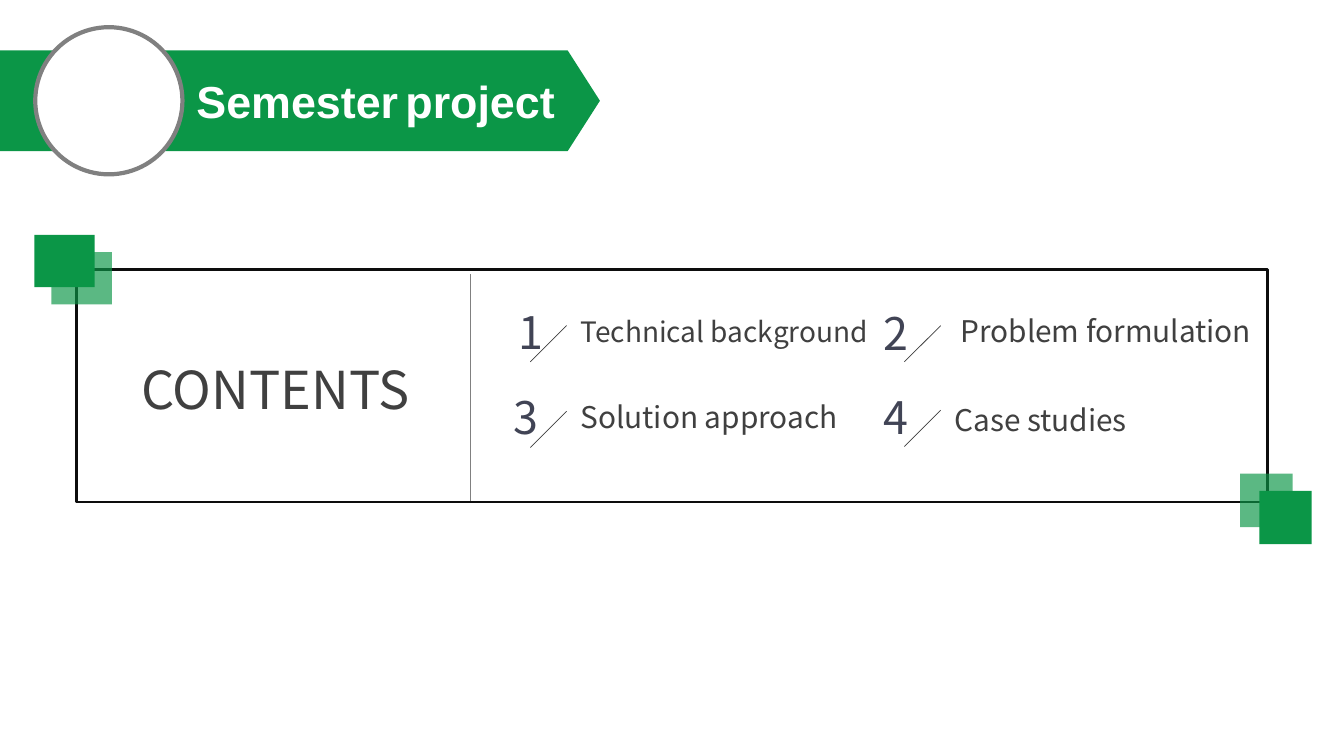
from lxml.etree import SubElement
from pptx import Presentation
from pptx.dml.color import RGBColor
from pptx.enum.shapes import MSO_CONNECTOR, MSO_SHAPE
from pptx.enum.text import MSO_AUTO_SIZE, PP_ALIGN
from pptx.oxml.ns import qn
from pptx.util import Inches, Pt

COLORS = {
    "green": "0B9647",
    "white": "FFFFFF",
    "gray": "808080",
    "text": "404040",
    "number": "414455",
    "frame": "0D0D0D",
}


class SlideBuilder:
    """Draws styled elements on the current slide."""

    def __init__(self, slide, font="Noto Sans CJK SC"):
        self.slide = slide
        self.font = font

    def color(self, name):
        return RGBColor.from_string(COLORS[name])

    def style(self, shape, fill=None, line=None, width=1, alpha=None):
        shape.shadow.inherit = False
        if fill:
            shape.fill.solid()
            shape.fill.fore_color.rgb = self.color(fill)
        else:
            shape.fill.background()
        if alpha:
            color_element = shape.fill._xPr.find(qn("a:solidFill"))[0]
            SubElement(color_element, qn("a:alpha"), val=str(alpha * 1000))
        if line:
            shape.line.color.rgb = self.color(line)
            shape.line.width = Pt(width)
        else:
            shape.line.fill.background()

    def shape(self, kind, box, **style):
        shape = self.slide.shapes.add_shape(kind, *map(Inches, box))
        self.style(shape, **style)

    def polygon(self, points, **style):
        corners = [(Inches(x), Inches(y)) for x, y in points]
        builder = self.slide.shapes.build_freeform(*corners[0])
        builder.add_line_segments(corners[1:], close=True)
        self.style(builder.convert_to_shape(), **style)

    def line(self, start, end, color):
        connector = self.slide.shapes.add_connector(
            MSO_CONNECTOR.STRAIGHT, *map(Inches, start + end))
        connector.line.color.rgb = self.color(color)
        connector.line.width = Pt(0.5)
        SubElement(connector._element.spPr, qn("a:effectLst"))

    def text(self, box, runs, color="text", align=PP_ALIGN.LEFT,
             wrap=True, font=None, bold=False):
        text_frame = self.slide.shapes.add_textbox(*map(Inches, box)).text_frame
        text_frame.word_wrap = wrap
        text_frame.auto_size = MSO_AUTO_SIZE.SHAPE_TO_FIT_TEXT
        paragraph = text_frame.paragraphs[0]
        paragraph.alignment = align
        for content, size in runs:
            run = paragraph.add_run()
            run.text = content
            run.font.size = Pt(size)
            run.font.name = font or self.font
            run.font.bold = bold
            run.font.color.rgb = self.color(color)

    def entry(self, number, number_box, title, title_box, size, slash):
        x, y = slash
        self.text(title_box, [(title, size)])
        self.text(number_box, [(number, 32)], "number", PP_ALIGN.CENTER, wrap=False)
        self.line((x + 0.36, y), (x, y + 0.36), "text")

    def corner(self, solid, offset, size):
        x, y = solid
        shift_x, shift_y = offset
        self.shape(MSO_SHAPE.RECTANGLE, (x, y) + size, fill="green")
        self.shape(MSO_SHAPE.RECTANGLE, (x + shift_x, y + shift_y) + size,
                   fill="green", alpha=67)


def main():
    presentation = Presentation()
    presentation.slide_width = Inches(13.33)
    presentation.slide_height = Inches(7.5)
    builder = SlideBuilder(presentation.slides.add_slide(presentation.slide_layouts[6]))

    builder.text((-0.46, 3.5, 4.62, 0.73), [("CONTENTS", 37.3)], align=PP_ALIGN.RIGHT)
    entries = [
        ("1", (5.04, 2.97, 0.38, 0.64),
         "Technical background", (5.66, 3.07, 3.66, 0.44), 20, (5.26, 3.23)),
        ("2", (8.66, 2.98, 0.46, 0.64),
         "Problem formulation", (9.43, 3.05, 3.16, 0.46), 21.3, (8.97, 3.23)),
        ("3", (4.99, 3.82, 0.46, 0.64),
         "Solution approach", (5.66, 3.91, 2.81, 0.46), 21.3, (5.26, 4.08)),
        ("4", (8.66, 3.82, 0.46, 0.64),
         "Case studies", (9.37, 3.94, 3.07, 0.46), 21.3, (8.97, 4.07)),
    ]
    for entry in entries:
        builder.entry(*entry)

    builder.line((4.67, 2.72), (4.67, 4.97), "gray")
    builder.shape(MSO_SHAPE.RECTANGLE, (0.76, 2.67, 11.81, 2.31), line="frame", width=2)
    builder.corner((12.49, 4.87), (-0.19, -0.17), (0.52, 0.53))
    builder.corner((0.34, 2.33), (0.17, 0.17), (0.6, 0.52))

    banner = [(-0.16, 0.5), (5.63, 0.5), (5.95, 1), (5.63, 1.5), (-0.16, 1.5)]
    builder.polygon(banner, fill="green")
    builder.shape(MSO_SHAPE.OVAL, (0.35, 0.27, 1.46, 1.46),
                  fill="white", line="gray", width=3)
    builder.text((1.85, 0.68, 3.86, 0.64),
                 [("Semester", 32), (" ", 18), ("project", 32)],
                 "white", wrap=False, font="Arial", bold=True)

    presentation.save("out.pptx")


if __name__ == "__main__":
    main()
